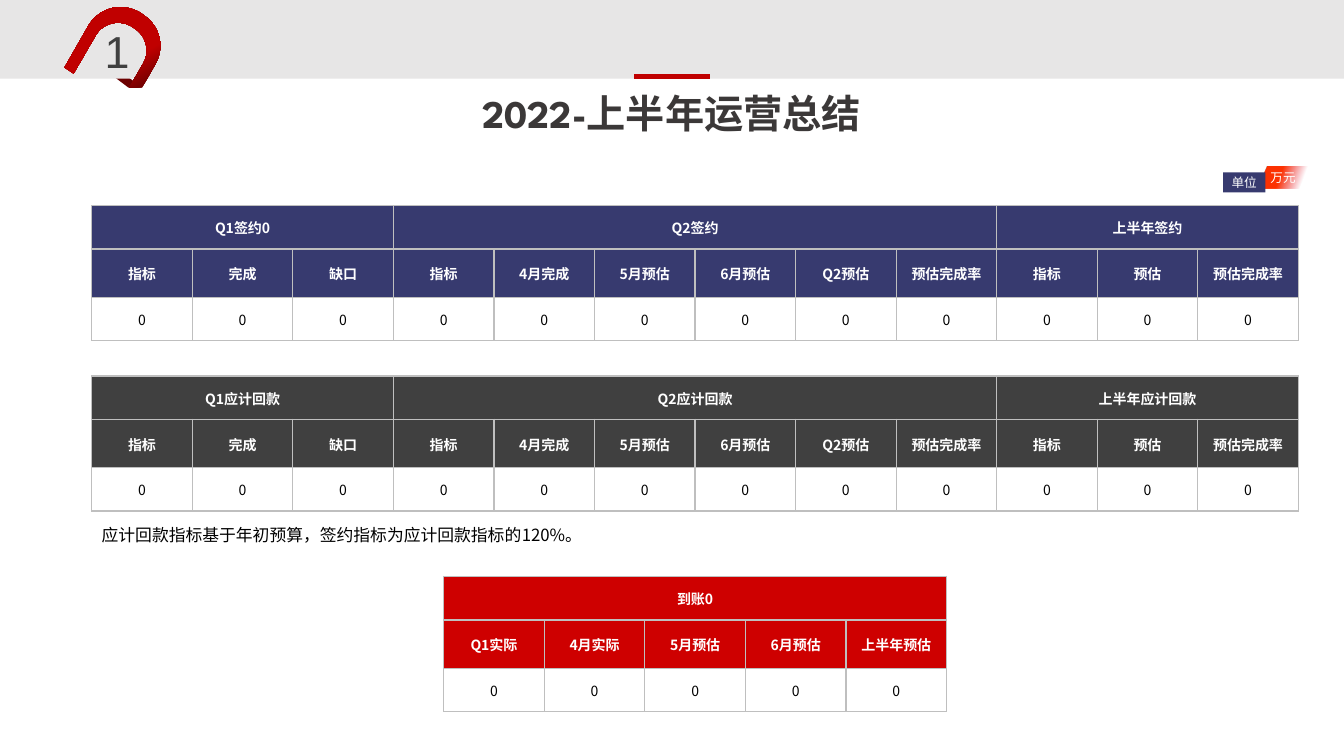
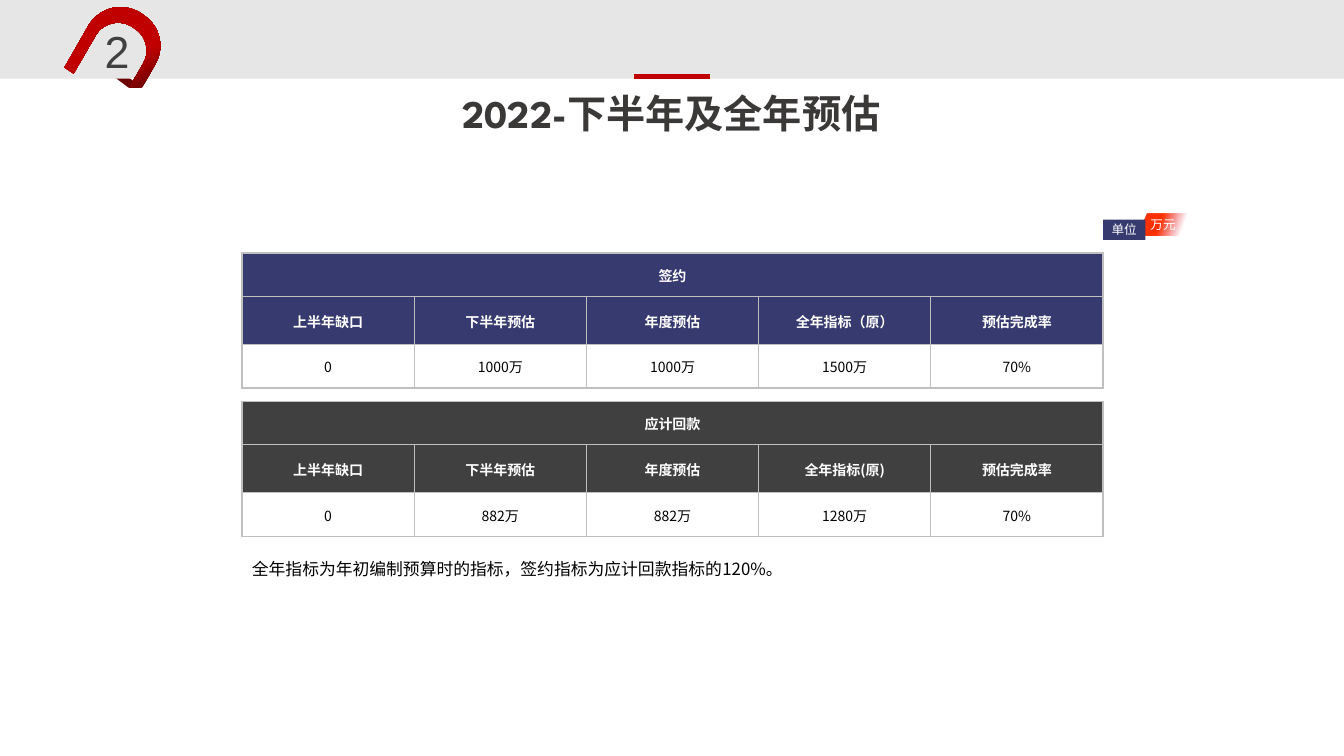
from dataclasses import dataclass

from lxml.etree import SubElement
from pptx import Presentation
from pptx.dml.color import RGBColor
from pptx.enum.shapes import MSO_CONNECTOR, MSO_SHAPE
from pptx.enum.text import MSO_ANCHOR as ANCHOR, PP_ALIGN as ALIGN
from pptx.oxml.ns import qn
from pptx.util import Inches, Pt


@dataclass(frozen=True)
class Theme:
    """Colours, fonts and type sizes shared by the slides."""

    band: str = "E7E6E6"
    accent: str = "C00000"
    ring_dark: str = "720000"
    fold: str = "6C0000"
    title: str = "3B3838"
    navy: str = "373A6F"
    grey: str = "404040"
    red: str = "CE0000"
    flame: str = "FD3200"
    flame_end: str = "E21C39"
    border: str = "BFBFBF"
    white: str = "FFFFFF"
    black: str = "000000"
    title_font: str = "League Spartan"
    label_font: str = "Arial"
    body_font: str = "Noto Sans CJK SC"
    title_size: int = 28
    number_size: int = 32
    note_size: int = 12
    cell_size: int = 10
    tag_size: int = 9


T = Theme()
ROW_HEIGHTS = (0.43, 0.48, 0.43)
RING_START = (1.17, 0.07)
RING = (
    ((1.24, 0.07), (1.31, 0.08), (1.38, 0.12)),
    ((1.41, 0.14),),
    ((1.59, 0.25), (1.64, 0.47), (1.54, 0.64)),
    ((1.41, 0.87),),
    ((1.28, 0.87),),
    ((1.42, 0.63),),
    ((1.49, 0.51), (1.45, 0.35), (1.33, 0.28)),
    ((1.3, 0.26),),
    ((1.18, 0.19), (1.02, 0.23), (0.95, 0.35)),
    ((0.73, 0.73),),
    ((0.64, 0.67),),
    ((0.88, 0.25),),
    ((0.94, 0.15), (1.05, 0.08), (1.17, 0.07)),
)
HALF_COLUMNS = ("指标", "完成", "缺口", "指标", "4月完成", "5月预估", "6月预估",
                "Q2预估", "预估完成率", "指标", "预估", "预估完成率")
CASH_COLUMNS = ("Q1实际", "4月实际", "5月预估", "6月预估", "上半年预估")


def rgb(value):
    """Return a colour object for a hex string."""
    return RGBColor.from_string(value)


def write(tf, text, font, size, color, bold=False, align=ALIGN.LEFT, spacing=None):
    """Write one styled paragraph into a text frame."""
    p = tf.paragraphs[0]
    p.text = text
    p.alignment = align
    if spacing:
        p.line_spacing = spacing
    p.font.name, p.font.size, p.font.bold = font, Pt(size), bold
    p.font.color.rgb = rgb(color)
    props = p._p.get_or_add_pPr().find(qn("a:defRPr"))
    SubElement(props, qn("a:ea")).set("typeface", T.body_font)


def plain(sp, color=None):
    """Remove shadow and outline, and fill with a colour if one is given."""
    sp.shadow.inherit = False
    sp.line.fill.background()
    if color:
        sp.fill.solid()
        sp.fill.fore_color.rgb = rgb(color)
    return sp


def add_preset(shapes, preset, box, color=None):
    """Add a plain preset shape in a box given in inches."""
    return plain(shapes.add_shape(preset, *map(Inches, box)), color)


def add_gradient(sp, stops, angle):
    """Fill a shape with two (position, colour) stops at a clockwise angle."""
    sp.fill.gradient()
    sp.fill.gradient_angle = 360 - angle
    for stop, (position, color) in zip(sp.fill.gradient_stops, stops):
        stop.position = position
        stop.color.rgb = rgb(color)


def fade_last_stop(sp):
    """Make the last gradient stop fully transparent."""
    last = list(sp.element.spPr.iter(qn("a:srgbClr")))[-1]
    SubElement(last, qn("a:alpha")).set("val", "0")


def add_text(slide, box, text, *style, wrap=True, anchor=ANCHOR.TOP, **options):
    """Add a text box in a box given in inches."""
    tf = slide.shapes.add_textbox(*map(Inches, box)).text_frame
    tf.word_wrap = wrap
    tf.vertical_anchor = anchor
    write(tf, text, *style, **options)


def ring_points(steps=10):
    """Return the ring outline with its curves flattened."""
    points, start = [], RING_START
    for segment in RING:
        if len(segment) == 1:
            points.append(segment[0])
        else:
            c1, c2, end = segment
            for t in (i / steps for i in range(1, steps + 1)):
                u = 1 - t
                points.append(tuple(
                    u**3 * a + 3 * u * u * t * b + 3 * u * t * t * c + t**3 * d
                    for a, b, c, d in zip(start, c1, c2, end)))
        start = segment[-1]
    return [(Inches(x), Inches(y)) for x, y in points]


def add_ring(slide):
    """Draw the red ring around the slide number."""
    builder = slide.shapes.build_freeform(*map(Inches, RING_START), scale=1.0)
    builder.add_line_segments(ring_points(), close=True)
    sp = plain(builder.convert_to_shape())
    add_gradient(sp, ((0.08, T.ring_dark), (0.33, T.accent)), 240)


def add_header(slide, number, title):
    """Draw the band, accent line, numbered ring and title."""
    fold = add_preset(slide.shapes, MSO_SHAPE.PARALLELOGRAM,
                      (1.13, 0.76, 0.28, 0.11), T.fold)
    fold.adjustments[0] = 1.32
    fold.element.spPr.xfrm.set("flipH", "1")
    add_preset(slide.shapes, MSO_SHAPE.RECTANGLE, (0, 0, 13.33, 0.78), T.band)
    line = slide.shapes.add_connector(
        MSO_CONNECTOR.STRAIGHT, *map(Inches, (6.29, 0.76, 7.04, 0.76)))
    line.line.color.rgb = rgb(T.accent)
    line.line.width = Pt(3)
    SubElement(line.element.spPr, qn("a:effectLst"))
    add_ring(slide)
    add_text(slide, (0.91, 0.89, 11.5, 0.52), title, T.title_font, T.title_size,
             T.title, anchor=ANCHOR.MIDDLE, bold=True, align=ALIGN.CENTER, spacing=0.9)
    add_text(slide, (0.94, 0.19, 0.45, 0.64), str(number), T.label_font,
             T.number_size, T.grey, wrap=False)


def add_unit_tag(slide, left, top):
    """Draw the two-part unit tag from its top left corner."""
    shapes = slide.shapes.add_group_shape().shapes
    unit = add_preset(shapes, MSO_SHAPE.PARALLELOGRAM, (left + 0.34, top, 0.51, 0.22))
    unit.adjustments[0] = 0.44
    add_gradient(unit, ((0.44, T.flame), (0.85, T.flame_end)), 20)
    fade_last_stop(unit)
    label = add_preset(shapes, MSO_SHAPE.RECTANGLE,
                       (left, top + 0.06, 0.42, 0.2), T.navy)
    for sp, text in ((unit, "万元"), (label, "单位")):
        tf = sp.text_frame
        tf.margin_left = tf.margin_right = 0
        tf.vertical_anchor = ANCHOR.MIDDLE
        write(tf, text, T.label_font, T.tag_size, T.white, align=ALIGN.CENTER)


def style_cell(cell, color=None):
    """Set the borders, fill, margins and anchor of a cell."""
    props = cell._tc.get_or_add_tcPr()
    for side in ("lnL", "lnR", "lnT", "lnB"):
        ln = SubElement(props, qn(f"a:{side}"), w=str(Pt(1)))
        fill = SubElement(ln, qn("a:solidFill"))
        SubElement(fill, qn("a:srgbClr"), val=T.border)
    if color:
        cell.fill.solid()
        cell.fill.fore_color.rgb = rgb(color)
    else:
        cell.fill.background()
    cell.margin_left = cell.margin_right = cell.margin_top = Inches(0.01)
    cell.margin_bottom = 0
    cell.vertical_anchor = ANCHOR.MIDDLE


def add_summary_table(slide, left, top, width, color, groups, columns, values):
    """Add a table of (heading, span) groups, column names and one value row."""
    heads = [text for name, span in groups for text in (name, *[""] * (span - 1))]
    rows = (heads, columns, values)
    frame = slide.shapes.add_table(
        len(rows), len(columns),
        *map(Inches, (left, top, width, sum(ROW_HEIGHTS))))
    table = frame.table
    table.first_row = table.horz_banding = False
    for column in table.columns:
        column.width = Inches(width / len(columns))
    for i, (texts, height) in enumerate(zip(rows, ROW_HEIGHTS)):
        table.rows[i].height = Inches(height)
        is_head = i < 2
        for j, text in enumerate(texts):
            cell = table.cell(i, j)
            style_cell(cell, color if is_head else None)
            write(cell.text_frame, text, T.body_font, T.cell_size,
                  T.white if is_head else T.black, bold=is_head, align=ALIGN.CENTER)
    start = 0
    for _, span in groups:
        table.cell(0, start).merge(table.cell(0, start + span - 1))
        start += span


def add_note(slide, left, top, text):
    """Add the remark below the tables."""
    add_text(slide, (left, top, 7.69, 0.37), text, T.body_font, T.note_size,
             T.black, spacing=1.5)


def build_first_half(slide):
    """Build the first-half summary slide."""
    left, width = 0.91, 11.97
    add_header(slide, 1, "2022-上半年运营总结")
    for top, color, names in (
            (2.04, T.navy, ("Q1签约0", "Q2签约", "上半年签约")),
            (3.73, T.grey, ("Q1应计回款", "Q2应计回款", "上半年应计回款"))):
        add_summary_table(slide, left, top, width, color, list(zip(names, (3, 6, 3))),
                          HALF_COLUMNS, ["0"] * len(HALF_COLUMNS))
    add_summary_table(slide, 4.4, 5.72, 4.99, T.red, [("到账0", 5)],
                      CASH_COLUMNS, ["0"] * len(CASH_COLUMNS))
    add_unit_tag(slide, 12.13, 1.65)
    add_note(slide, left, 5.06, "应计回款指标基于年初预算，签约指标为应计回款指标的120%。")


def build_full_year(slide):
    """Build the second-half and full-year forecast slide."""
    left, width = 2.4, 8.54
    add_header(slide, 2, "2022-下半年及全年预估")
    for top, color, name, target, values in (
            (2.51, T.navy, "签约", "全年指标（原）",
             ("0", "1000万", "1000万", "1500万", "70%")),
            (3.98, T.grey, "应计回款", "全年指标(原)",
             ("0", "882万", "882万", "1280万", "70%"))):
        columns = ("上半年缺口", "下半年预估", "年度预估", target, "预估完成率")
        add_summary_table(slide, left, top, width, color, [(name, 5)], columns, values)
    add_unit_tag(slide, left + width, 2.12)
    add_note(slide, left, 5.39, "全年指标为年初编制预算时的指标，签约指标为应计回款指标的120%。")


def main():
    """Build and save the presentation."""
    prs = Presentation()
    prs.slide_width, prs.slide_height = Inches(13.33), Inches(7.5)
    for build in (build_first_half, build_full_year):
        build(prs.slides.add_slide(prs.slide_layouts[6]))
    prs.save("out.pptx")


if __name__ == "__main__":
    main()
